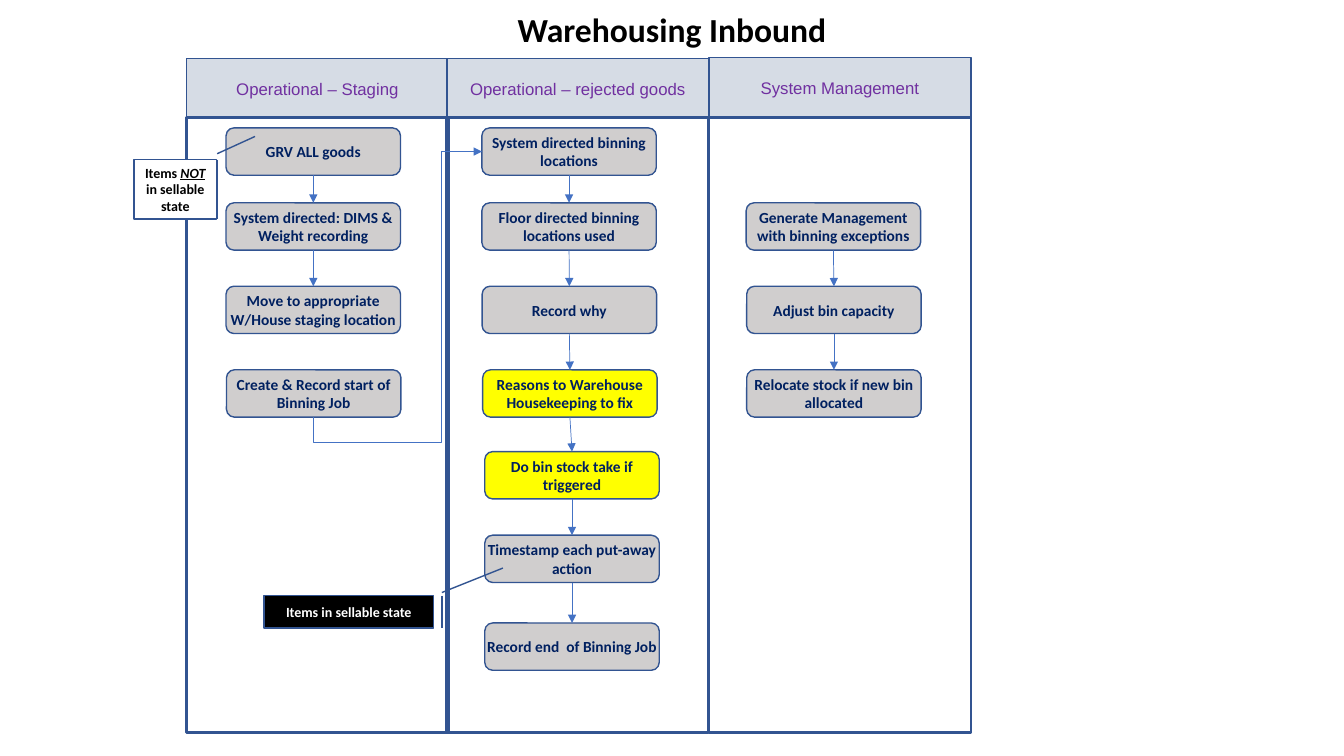
from itertools import pairwise

from lxml import etree
from pptx import Presentation
from pptx.dml.color import RGBColor
from pptx.enum import shapes, text
from pptx.oxml.ns import qn
from pptx.util import Pt

COLORS = {
    "border": "325491", "arrow": "4472C4", "header": "D6DCE5",
    "step": "D0CECE", "alert": "FFFF00", "purple": "7030A0",
    "navy": "002060", "black": "000000", "white": "FFFFFF",
}
SHAPE = shapes.MSO_SHAPE
LANE_W, LANE_TOP, LANE_H, HEADER_H = 187.2, 84.2, 439.2, 42.5
STEP_W, STEP_H = 124.6, 33.8
ROWS = [91.4, 144.9, 204.5, 264.2, 322.6, 382.3, 445]

# lane title, left, header top, first row, steps as (left, wording, fill)
LANES = [
    ("Operational – Staging", 133.2, 41.8, 0, [
        (161.5, "GRV ALL goods", "step"),
        (161.5, "System directed: DIMS & Weight recording", "step"),
        (161.5, "Move to appropriate W/House staging location", "step"),
        (161.8, "Create & Record start of Binning Job", "step"),
    ]),
    ("Operational – rejected goods", 319.2, 41.8, 0, [
        (344.2, "System directed binning locations", "step"),
        (344.2, "Floor directed binning locations used", "step"),
        (344.4, "Record why", "step"),
        (344.8, "Reasons to Warehouse Housekeeping to fix", "alert"),
        (346.3, "Do bin stock take if triggered", "alert"),
        (346.3, "Timestamp each put-away action", "step"),
        (346.3, "Record end  of Binning Job", "step"),
    ]),
    ("System Management", 506.4, 41.2, 1, [
        (533, "Generate Management with binning exceptions", "step"),
        (533.4, "Adjust bin capacity", "step"),
        (533.4, "Relocate stock if new bin allocated", "step"),
    ]),
]


def rgb(name):
    return RGBColor.from_string(COLORS[name])


class Flowchart:
    def __init__(self, slide, font="Calibri"):
        self.slide = slide
        self.font = font

    def label(self, sp, parts, size, color, bold=True, font=None, inset=7.2):
        """Fill the shape with one centred paragraph and return its runs."""
        tf = sp.text_frame
        tf.word_wrap = True
        tf.margin_left = tf.margin_right = Pt(inset)
        p = tf.paragraphs[0]
        p.text = parts[0]
        for part in parts[1:]:
            p.add_run().text = part
        p.alignment = text.PP_ALIGN.CENTER
        for r in p.runs:
            r.font.name = font or self.font
            r.font.size = Pt(size)
            r.font.bold = bold
            r.font.color.rgb = rgb(color)
        return p.runs

    def title(self, wording):
        box = self.slide.shapes.add_textbox(Pt(0), Pt(2.9), Pt(960), Pt(36))
        self.label(box, [wording], 24, "black")

    def shape(self, kind, left, top, width, height, fill=None, line=1):
        sp = self.slide.shapes.add_shape(
            kind, Pt(left), Pt(top), Pt(width), Pt(height))
        sp.shadow.inherit = False
        if fill:
            sp.fill.solid()
            sp.fill.fore_color.rgb = rgb(fill)
        else:
            sp.fill.background()
        sp.line.color.rgb = rgb("border")
        sp.line.width = Pt(line)
        sp.text_frame.vertical_anchor = text.MSO_ANCHOR.MIDDLE
        return sp

    def lane(self, wording, left, header_top):
        header = self.shape(SHAPE.FLOWCHART_PROCESS, left, header_top,
                            LANE_W, HEADER_H, "header")
        self.label(header, [wording], 12, "purple", bold=False, font="Arial")
        self.shape(SHAPE.RECTANGLE, left, LANE_TOP, LANE_W, LANE_H, line=2)

    def step(self, left, top, wording, fill):
        sp = self.shape(SHAPE.ROUNDED_RECTANGLE, left, top,
                        STEP_W, STEP_H, fill)
        self.label(sp, [wording], 11, "navy", inset=0)
        return sp

    def callout(self, left, top, width, height, parts, fill, color, adjust):
        sp = self.shape(SHAPE.LINE_CALLOUT_1_BORDER_AND_ACCENT_BAR,
                        left, top, width, height, fill)
        for i, value in enumerate(adjust):
            sp.adjustments[i] = value
        return self.label(sp, parts, 10, color)

    def arrow(self, start, end, end_side=0, kind=shapes.MSO_CONNECTOR.STRAIGHT):
        """Join the bottom of start to the given side of end."""
        cxn = self.slide.shapes.add_connector(kind, 0, 0, 0, 0)
        cxn.begin_connect(start, 2)
        cxn.end_connect(end, end_side)
        cxn.line.color.rgb = rgb("arrow")
        cxn.line.width = Pt(0.5)
        sp_pr = cxn._element.spPr
        etree.SubElement(sp_pr.find(qn("a:ln")), qn("a:tailEnd"),
                         type="triangle")
        etree.SubElement(sp_pr, qn("a:effectLst"))
        return cxn

    def detour(self, start, end, drop, turn):
        """Leave start downwards, rise between the lanes, enter end's left."""
        cxn = self.arrow(start, end, 1, shapes.MSO_CONNECTOR.ELBOW)
        width, height = cxn.width, cxn.height
        cxn.left += (width - height) // 2
        cxn.top += (height - width) // 2
        cxn.width, cxn.height = height, width
        xfrm = cxn._element.spPr.find(qn("a:xfrm"))
        for key, value in (("rot", "5400000"), ("flipH", "1"), ("flipV", "1")):
            xfrm.set(key, value)
        geom = cxn._element.spPr.find(qn("a:prstGeom"))
        geom.set("prst", "bentConnector4")
        guides = geom.find(qn("a:avLst"))
        for name, value in (("adj1", -drop), ("adj2", turn)):
            etree.SubElement(guides, qn("a:gd"), name=name,
                             fmla=f"val {round(value * 100000)}")


def main():
    prs = Presentation()
    prs.slide_width, prs.slide_height = Pt(960), Pt(540)
    chart = Flowchart(prs.slides.add_slide(prs.slide_layouts[6]))
    chart.title("Warehousing Inbound")

    for wording, left, header_top, *_ in LANES:
        chart.lane(wording, left, header_top)

    columns = []
    for *_, first, steps in LANES:
        columns.append([chart.step(left, top, wording, fill)
                        for top, (left, wording, fill)
                        in zip(ROWS[first:], steps)])
    staging, rejected, management = columns

    for column in (staging[:3], rejected, management):
        for start, end in pairwise(column):
            chart.arrow(start, end)
    chart.detour(staging[-1], rejected[0], drop=0.095, turn=0.76)

    chart.callout(188.6, 425.5, 121, 23, ["Items in sellable state"],
                  "black", "white", (-0.1, 1.05, -0.86, 1.41))
    runs = chart.callout(95.8, 114, 58.8, 42.5,
                         ["Items ", "NOT ", "in sellable state"],
                         "white", "black", (-0.1, 1.01, -0.39, 1.47))
    runs[1].font.italic = runs[1].font.underline = True

    prs.save("out.pptx")


if __name__ == "__main__":
    main()
